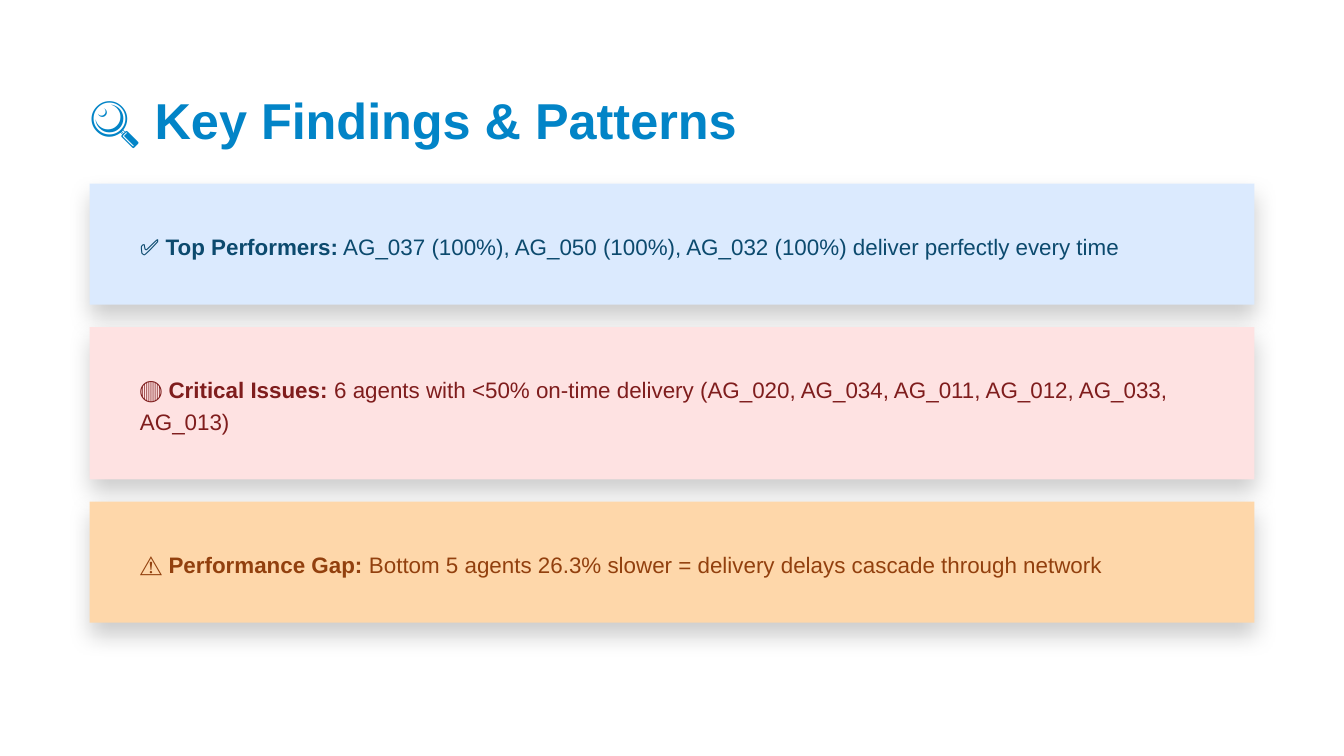
"""Build the key findings slide with three coloured callout cards."""
import lxml.etree
import pptx
import pptx.dml.color
import pptx.enum.shapes
import pptx.oxml.ns
import pptx.util

Pt = pptx.util.Pt

COLORS = {
    "title": "0284C7",
    "blue_fill": "DBEAFE", "blue_text": "0C4A6E",
    "red_fill": "FEE2E2", "red_text": "7F1D1D",
    "orange_fill": "FED7AA", "orange_text": "92400E",
    "shadow": "000000",
}
FONT = "Arial"
LEFT, WIDTH = 48, 624
CARDS_TOP, CARD_GAP = 98.4, 12
PADDING, TEXT_LEFT, TEXT_WIDTH = 24, 75, 573
LINE_HEIGHT = 16.8
SINGLE_LINE_SLACK = 1.02

FINDINGS = [
    ("blue", 1, "✅ Top Performers:",
     " AG_037 (100%), AG_050 (100%), AG_032 (100%) deliver perfectly every time"),
    ("red", 2, "🔴 Critical Issues:",
     " 6 agents with <50% on-time delivery (AG_020, AG_034, AG_011, AG_012, AG_033, AG_013)"),
    ("orange", 1, "⚠️ Performance Gap:",
     " Bottom 5 agents 26.3% slower = delivery delays cascade through network"),
]


def rgb(name):
    return pptx.dml.color.RGBColor.from_string(COLORS[name])


def add_shadow(shape):
    qn = pptx.oxml.ns.qn
    shape.shadow.inherit = False
    effects = shape.element.spPr.find(qn("a:effectLst"))
    shadow = lxml.etree.SubElement(
        effects, qn("a:outerShdw"), blurRad=str(Pt(12)), dist=str(Pt(6)),
        dir=str(90 * 60000), algn="ctr", rotWithShape="0")
    color = lxml.etree.SubElement(shadow, qn("a:srgbClr"), val=COLORS["shadow"])
    lxml.etree.SubElement(color, qn("a:alpha"), val="20000")


def add_card(page, top, height, fill):
    card = page.shapes.add_shape(
        pptx.enum.shapes.MSO_SHAPE.RECTANGLE, Pt(LEFT), Pt(top), Pt(WIDTH), Pt(height))
    card.fill.solid()
    card.fill.fore_color.rgb = rgb(fill)
    card.line.fill.background()
    add_shadow(card)


def add_text(page, left, top, width, height, spans, size, spacing, color):
    box = page.shapes.add_textbox(Pt(left), Pt(top), Pt(width), Pt(height))
    frame = box.text_frame
    frame.word_wrap = True
    frame.margin_left = frame.margin_right = frame.margin_top = frame.margin_bottom = 0
    para = frame.paragraphs[0]
    para.line_spacing = Pt(spacing)
    for text, bold in spans:
        span = para.add_run()
        span.text = text
        span.font.name = FONT
        span.font.size = Pt(size)
        span.font.bold = bold
        span.font.color.rgb = rgb(color)


def add_finding(page, top, tone, lines, label, detail):
    text_height = lines * LINE_HEIGHT
    card_height = text_height + 2 * PADDING
    add_card(page, top, card_height, f"{tone}_fill")
    width = TEXT_WIDTH * (SINGLE_LINE_SLACK if lines == 1 else 1)
    add_text(page, TEXT_LEFT, top + PADDING, width, text_height,
             [(label, True), (detail, False)], 12, LINE_HEIGHT, f"{tone}_text")
    return top + card_height + CARD_GAP


def main():
    deck = pptx.Presentation()
    deck.slide_width, deck.slide_height = Pt(720), Pt(405)
    page = deck.slides.add_slide(deck.slide_layouts[6])
    add_text(page, LEFT, 48, WIDTH * SINGLE_LINE_SLACK, 32.4,
             [("🔍 Key Findings & Patterns", True)], 27, 32.4, "title")
    top = CARDS_TOP
    for finding in FINDINGS:
        top = add_finding(page, top, *finding)
    deck.save("out.pptx")


if __name__ == "__main__":
    main()
